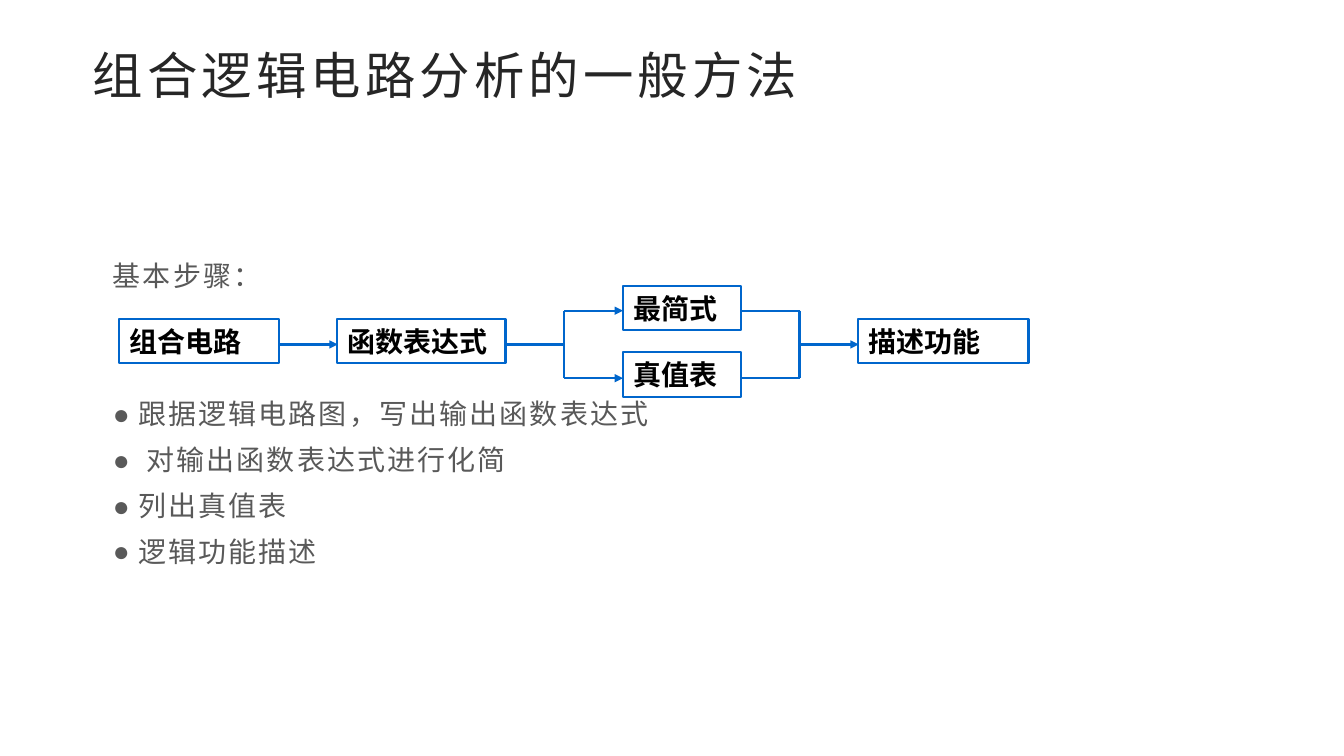
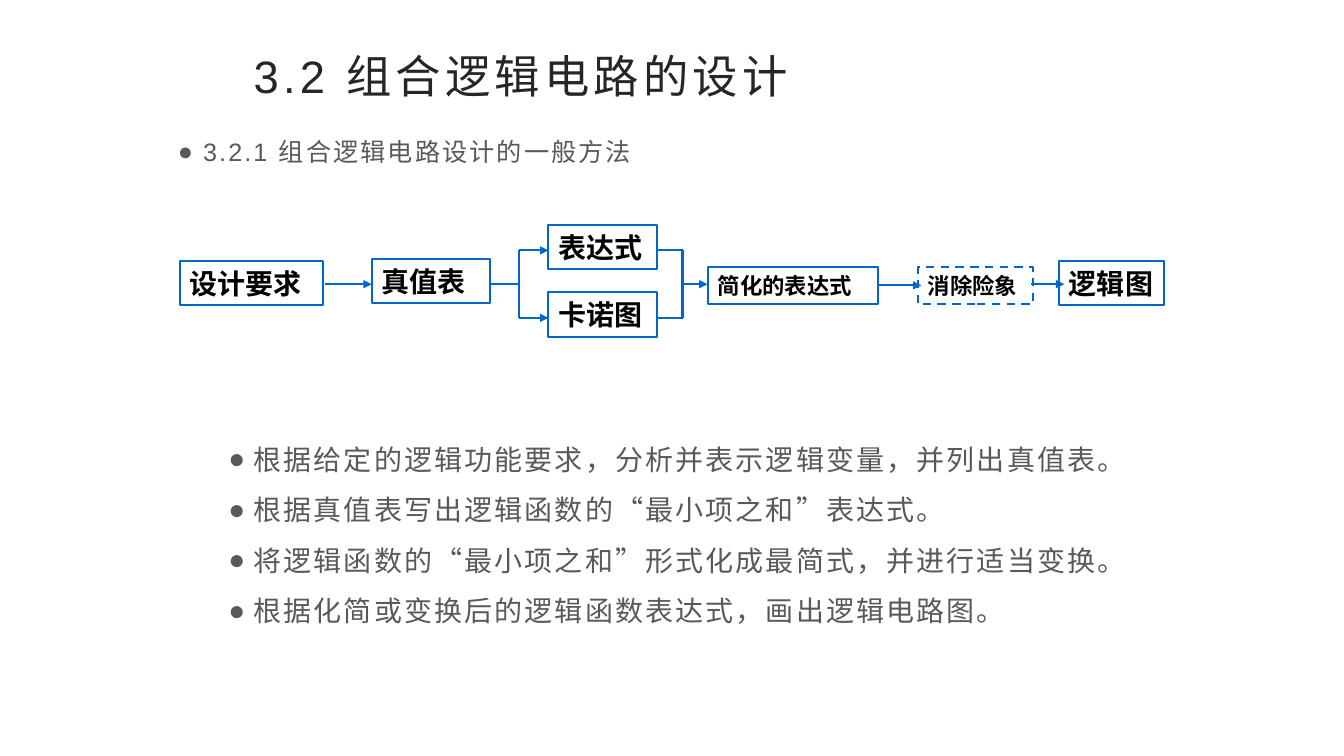
from lxml import etree
from pptx import Presentation
from pptx.dml.color import RGBColor
from pptx.enum.dml import MSO_LINE
from pptx.enum.shapes import MSO_CONNECTOR, MSO_SHAPE
from pptx.enum.text import MSO_ANCHOR, MSO_AUTO_SIZE, PP_ALIGN
from pptx.oxml.ns import qn
from pptx.util import Cm, Pt

RECT, STRAIGHT = MSO_SHAPE.RECTANGLE, MSO_CONNECTOR.STRAIGHT
LEFT, TOP, MIDDLE = PP_ALIGN.LEFT, MSO_ANCHOR.TOP, MSO_ANCHOR.MIDDLE
NO_FIT, DASH = MSO_AUTO_SIZE.NONE, MSO_LINE.DASH

COLORS = {"title": "262626", "body": "595959", "flow": "0066CC", "step": "000000"}
CJK_FONT = "Noto Sans CJK SC"
LINE_WIDTH = Pt(1.5)
BRANCH_OFFSET = 0.85  # cm from the flow axis to each branch
HANGING = Cm(0.635)


def write_text(paragraph, text, size, color, font="Arial", bold=False, tracking=0,
               spacing=1.0, before=0, after=0, bullet=False, level=0):
    paragraph.alignment = LEFT
    paragraph.level = level
    paragraph.line_spacing = spacing
    paragraph.space_before, paragraph.space_after = Pt(before), Pt(after)
    properties = paragraph._p.get_or_add_pPr()
    margin = HANGING * (1 + 2 * level) if bullet else 0
    properties.set("marL", str(margin))
    properties.set("indent", str(-HANGING if bullet else 0))
    if bullet:
        etree.SubElement(properties, qn("a:buFont")).set("typeface", "Arial")
        etree.SubElement(properties, qn("a:buChar")).set("char", "●")
    else:
        etree.SubElement(properties, qn("a:buNone"))
    run = paragraph.add_run()
    run.text = text
    run.font.size, run.font.bold, run.font.name = Pt(size), bold, font
    run.font.color.rgb = RGBColor.from_string(COLORS[color])
    run_properties = run._r.get_or_add_rPr()
    run_properties.set("spc", str(tracking))
    etree.SubElement(run_properties, qn("a:ea")).set("typeface", CJK_FONT)


def add_flow_line(slide, x1, y1, x2, y2, arrow=False):
    connector = slide.shapes.add_connector(STRAIGHT, Cm(x1), Cm(y1), Cm(x2), Cm(y2))
    connector.line.color.rgb = RGBColor.from_string(COLORS["flow"])
    connector.line.width = LINE_WIDTH
    if arrow:
        etree.SubElement(connector.line._get_or_add_ln(), qn("a:tailEnd")).set("type", "triangle")
    etree.SubElement(connector._element.spPr, qn("a:effectLst"))


# Content; lengths in cm
# steps: text, left, top, width, height, size, dashed
# fork and join: start, bend, end; arrows: start, end, y
topics = [
    {
        "title": "组合逻辑电路分析的一般方法",
        "title_box": (2.08, 0.89, 30.1, 1.96), "title_size": 36,
        "body_box": (2.59, 6.45, 23.62, 8.26),
        "lead": {"text": "基本步骤：", "size": 20, "spacing": 0.95, "after": 10},
        "points": ["跟据逻辑电路图，写出输出函数表达式", " 对输出函数表达式进行化简",
                   "列出真值表", "逻辑功能描述"],
        "point_style": {"spacing": 0.95, "after": 10},
        "gap": 66,
        "steps": [
            ("组合电路", 3.01, 8.04, 4.02, 1.12, 20, False),
            ("函数表达式", 8.5, 8.04, 4.24, 1.12, 20, False),
            ("最简式", 15.71, 7.2, 2.97, 1.12, 20, False),
            ("真值表", 15.71, 8.88, 2.97, 1.12, 20, False),
            ("描述功能", 21.63, 8.04, 4.29, 1.12, 20, False),
        ],
        "axis": 8.68,
        "fork": (12.75, 14.22, 15.7), "join": (18.67, 20.15, 21.64),
        "arrows": [(7.04, 8.51, 8.68)],
    },
    {
        "title": "3.2 组合逻辑电路的设计",
        "title_box": (6.14, 0.92, 21.59, 1.96), "title_size": 32.4,
        "body_box": (4.23, 3.12, 24.71, 15.39),
        "lead": {"text": "3.2.1 组合逻辑电路设计的一般方法", "size": 18, "spacing": 1.25,
                 "after": 10, "bullet": True},
        "points": ["根据给定的逻辑功能要求，分析并表示逻辑变量，并列出真值表。",
                   "根据真值表写出逻辑函数的“最小项之和”表达式。",
                   "将逻辑函数的“最小项之和”形式化成最简式，并进行适当变换。",
                   "根据化简或变换后的逻辑函数表达式，画出逻辑电路图。"],
        "point_style": {"font": CJK_FONT, "spacing": 1.25, "after": 6, "level": 1},
        "gap": 181,
        "steps": [
            ("设计要求", 4.53, 6.57, 3.61, 1.12, 20, False),
            ("真值表", 9.37, 6.52, 2.97, 1.12, 20, False),
            ("表达式", 13.82, 5.66, 2.74, 1.12, 20, False),
            ("卡诺图", 13.82, 7.37, 2.74, 1.12, 20, False),
            ("简化的表达式", 17.84, 6.73, 4.29, 0.94, 16, False),
            ("消除险象", 23.13, 6.73, 2.9, 0.94, 16, True),
            ("逻辑图", 26.69, 6.57, 2.64, 1.12, 20, False),
        ],
        "axis": 7.16,
        "fork": (12.34, 13.08, 13.82), "join": (16.56, 17.2, 17.83),
        "arrows": [(8.18, 9.37, 7.16), (22.15, 23.22, 7.19), (25.98, 26.82, 7.16)],
    },
]

deck = Presentation()
deck.slide_width, deck.slide_height = Cm(33.87), Cm(19.05)

for topic in topics:
    slide = deck.slides.add_slide(deck.slide_layouts[1])
    title, body = slide.shapes.title, slide.placeholders[1]
    for holder, box, anchor in ((title, topic["title_box"], MIDDLE),
                                (body, topic["body_box"], TOP)):
        holder.left, holder.top, holder.width, holder.height = map(Cm, box)
        holder.text_frame.auto_size = NO_FIT
        holder.text_frame.word_wrap = True
        holder.text_frame.vertical_anchor = anchor

    # Title and list
    write_text(title.text_frame.paragraphs[0], topic["title"], size=topic["title_size"],
               color="title", tracking=300)
    write_text(body.text_frame.paragraphs[0], color="body", tracking=150, **topic["lead"])
    for index, point in enumerate(topic["points"]):
        write_text(body.text_frame.add_paragraph(), point, size=20, color="body", tracking=150,
                   bullet=True, before=0 if index else topic["gap"], **topic["point_style"])

    # Step boxes
    for text, left, top, width, height, size, dashed in topic["steps"]:
        step = slide.shapes.add_shape(RECT, Cm(left), Cm(top), Cm(width), Cm(height))
        step.shadow.inherit = False
        step.fill.background()
        step.line.color.rgb = RGBColor.from_string(COLORS["flow"])
        step.line.width = LINE_WIDTH
        if dashed:
            step.line.dash_style = DASH
        frame = step.text_frame
        frame.word_wrap = True
        frame.vertical_anchor = MIDDLE
        frame.margin_left, frame.margin_right = Cm(0.25), 0
        frame.margin_top = frame.margin_bottom = 0
        write_text(frame.paragraphs[0], text, size=size, color="step",
                   font="Times New Roman", bold=True)

    # Fork into two branches, then join again
    axis = topic["axis"]
    upper, lower = axis - BRANCH_OFFSET, axis + BRANCH_OFFSET
    for key in ("fork", "join"):
        start, bend, end = topic[key]
        splits = key == "fork"
        add_flow_line(slide, bend, upper, bend, lower)
        for branch in (upper, lower):
            if splits:
                add_flow_line(slide, bend, branch, end, branch, arrow=True)
            else:
                add_flow_line(slide, start, branch, bend, branch)
        if splits:
            add_flow_line(slide, start, axis, bend, axis)
        else:
            add_flow_line(slide, bend, axis, end, axis, arrow=True)

    # Straight arrows between steps
    for start, end, y in topic["arrows"]:
        add_flow_line(slide, start, y, end, y, arrow=True)

deck.save("out.pptx")
